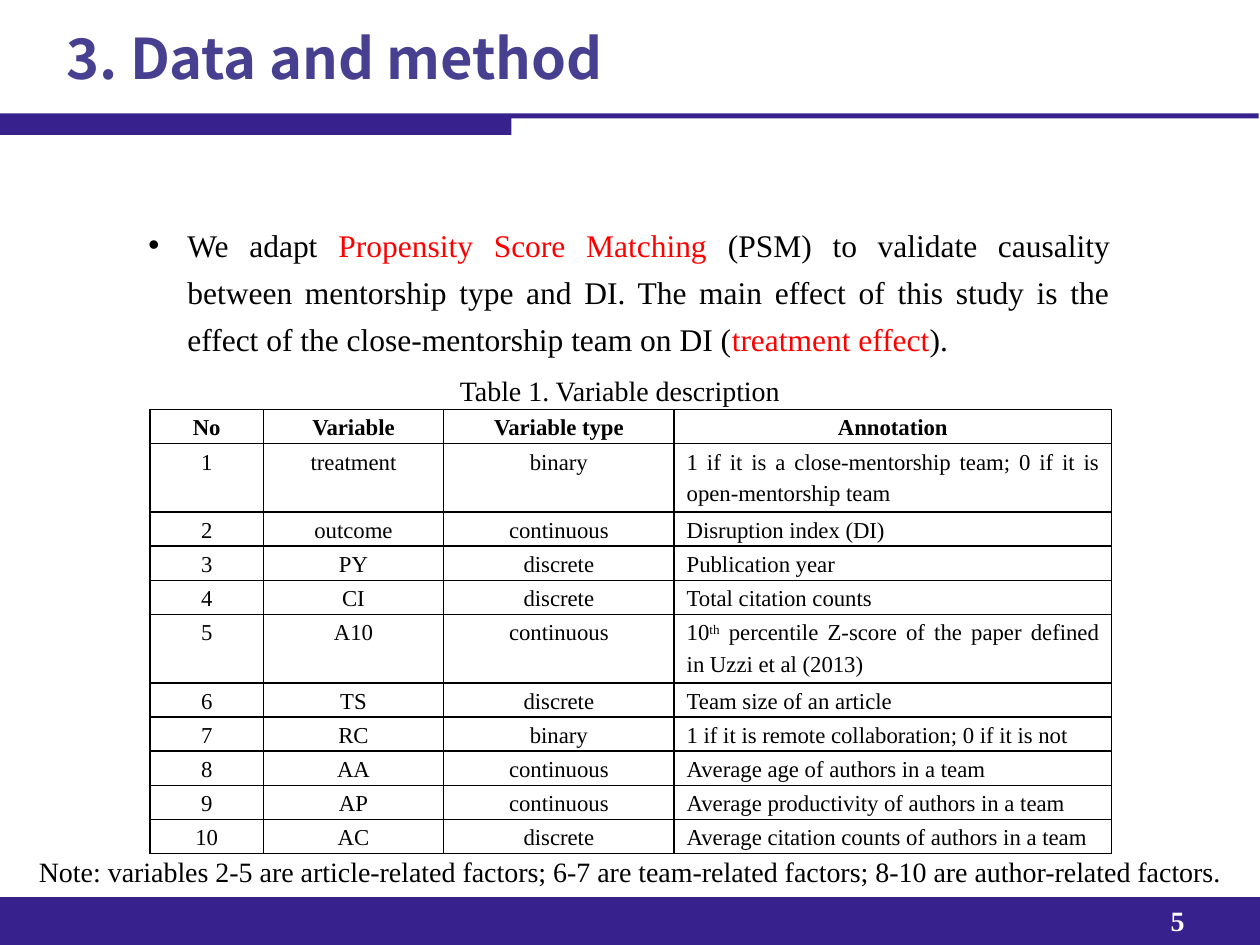
from pptx import Presentation
from pptx import util as u
from pptx.dml.color import RGBColor
from pptx.enum import shapes, text
from pptx.oxml import ns, xmlchemy

SERIF, SANS = "Times New Roman", "Noto Sans CJK SC"
INDIGO, TITLE, BLACK, RED, WHITE = "36218D", "474091", "000000", "FF0000", "FFFFFF"
LEFT, MID, FULL = text.PP_ALIGN.LEFT, text.PP_ALIGN.CENTER, text.PP_ALIGN.JUSTIFY

BARS = [(0, 7.12, 10, 0.38), (0, 0.9, 9.99, 0.04), (0, 0.92, 4.06, 0.15)]
BODY = [
    ("We adapt ", BLACK),
    ("Propensity Score Matching ", RED),
    ("(PSM) to validate causality between mentorship type and DI. The main effect "
     "of this study is the effect of the close-mentorship team on DI (", BLACK),
    ("treatment effect", RED),
    (").", BLACK),
]
CAPTION = "Table 1. Variable description"
NOTE = ("Note: variables 2-5 are article-related factors; 6-7 are team-related "
        "factors; 8-10 are author-related factors.")
HEAD = ("No", "Variable", "Variable type", "Annotation")
ROWS = [
    ("treatment", "binary",
     "1 if it is a close-mentorship team; 0 if it is open-mentorship team"),
    ("outcome", "continuous", "Disruption index (DI)"),
    ("PY", "discrete", "Publication year"),
    ("CI", "discrete", "Total citation counts"),
    ("A10", "continuous",
     ("10", "th", " percentile Z-score of the paper defined in Uzzi et al (2013)")),
    ("TS", "discrete", "Team size of an article"),
    ("RC", "binary", "1 if it is remote collaboration; 0 if it is not"),
    ("AA", "continuous", "Average age of authors in a team"),
    ("AP", "continuous", "Average productivity of authors in a team"),
    ("AC", "discrete", "Average citation counts of authors in a team"),
]
COLS = (0.9, 1.43, 1.83, 3.47)
TALL = (1, 5)
LOW, HIGH = 0.25, 0.53


def rgb(code):
    return RGBColor.from_string(code)


def node(tag, **attrs):
    item = xmlchemy.OxmlElement(tag)
    for key, value in attrs.items():
        item.set(key, str(value))
    return item


def style(para, size, color=BLACK, bold=False, face=SERIF, align=LEFT, lines=1.25):
    para.alignment = align
    para.line_spacing = lines
    font = para.font
    font.name, font.size, font.bold = face, u.Pt(size), bold
    font.color.rgb = rgb(color)


def indent(para, left, first=0):
    props = para._p.get_or_add_pPr()
    props.set("marL", str(u.Inches(left)))
    props.set("indent", str(u.Inches(first)))
    return props


def track(para, points):
    para._p.pPr.find(ns.qn("a:defRPr")).set("spc", str(round(points * 100)))


def label(slide, box, words="", pad=None):
    frame = slide.shapes.add_textbox(*map(u.Inches, box)).text_frame
    frame.word_wrap = True
    if pad is not None:
        frame.margin_left = frame.margin_right = frame.margin_bottom = 0
        frame.margin_top = u.Inches(pad)
    para = frame.paragraphs[0]
    if words:
        para.add_run().text = words
    return para


def border(cell):
    props = cell._tc.get_or_add_tcPr()
    for side in "LRTB":
        line = node("a:ln" + side, w=u.Pt(1))
        fill = node("a:solidFill")
        fill.append(node("a:srgbClr", val=BLACK))
        line.append(fill)
        props.append(line)


def fill_cell(cell, words, bold, align):
    border(cell)
    cell.fill.background()
    cell.margin_left = cell.margin_right = u.Inches(0.1)
    cell.margin_top = cell.margin_bottom = 0
    para = cell.text_frame.paragraphs[0]
    parts = (words,) if isinstance(words, str) else words
    for i, part in enumerate(parts):
        run = para.add_run()
        run.text = part
        if i == 1:
            run._r.get_or_add_rPr().set("baseline", "30000")
    style(para, 13, bold=bold, align=align)


def add_grid(slide):
    data = [HEAD] + [(str(i), *row) for i, row in enumerate(ROWS, 1)]
    highs = [HIGH if i in TALL else LOW for i in range(len(data))]
    box = (1.19, 3.25, sum(COLS), sum(highs))
    grid = slide.shapes.add_table(len(data), len(COLS), *map(u.Inches, box)).table
    grid.first_row = grid.horz_banding = False
    for col, width in zip(grid.columns, COLS):
        col.width = u.Inches(width)
    for r, row in enumerate(data):
        grid.rows[r].height = u.Inches(highs[r])
        for c, words in enumerate(row):
            align = FULL if r and c == len(COLS) - 1 else MID
            fill_cell(grid.cell(r, c), words, r == 0, align)


def main():
    deck = Presentation()
    deck.slide_width, deck.slide_height = u.Inches(10), u.Inches(7.5)
    slide = deck.slides.add_slide(deck.slide_layouts[6])

    for box in BARS:
        bar = slide.shapes.add_shape(shapes.MSO_SHAPE.RECTANGLE, *map(u.Inches, box))
        bar.shadow.inherit = False
        bar.fill.solid()
        bar.fill.fore_color.rgb = rgb(INDIGO)
        bar.line.fill.background()

    page = label(slide, (9.25, 7.18, 0.32, 0.28), "5", pad=0)
    indent(page, 0.04)
    style(page, 16, WHITE, bold=True, lines=u.Pt(18.6))
    track(page, -0.2)

    title = label(slide, (0.52, 0.17, 4.48, 0.55), "3. Data and method", pad=0.02)
    indent(title, 0.01)
    title.space_before = u.Pt(1.1)
    style(title, 32, TITLE, bold=True, face=SANS, lines=1.0)
    track(title, -0.1)

    body = label(slide, (1.08, 1.67, 7.83, 1.2))
    for words, color in BODY:
        run = body.add_run()
        run.text = words
        run.font.color.rgb = rgb(color)
    props = indent(body, 0.31, -0.31)
    props.append(node("a:buFont", typeface="Arial"))
    props.append(node("a:buChar", char="•"))
    body.space_before = u.Pt(6)
    style(body, 18, align=FULL)

    add_grid(slide)
    style(label(slide, (2.42, 2.85, 5, 0.41), CAPTION), 16, align=MID)
    style(label(slide, (0.21, 6.67, 9.79, 0.41), NOTE), 16, align=FULL)
    deck.save("out.pptx")


if __name__ == "__main__":
    main()
